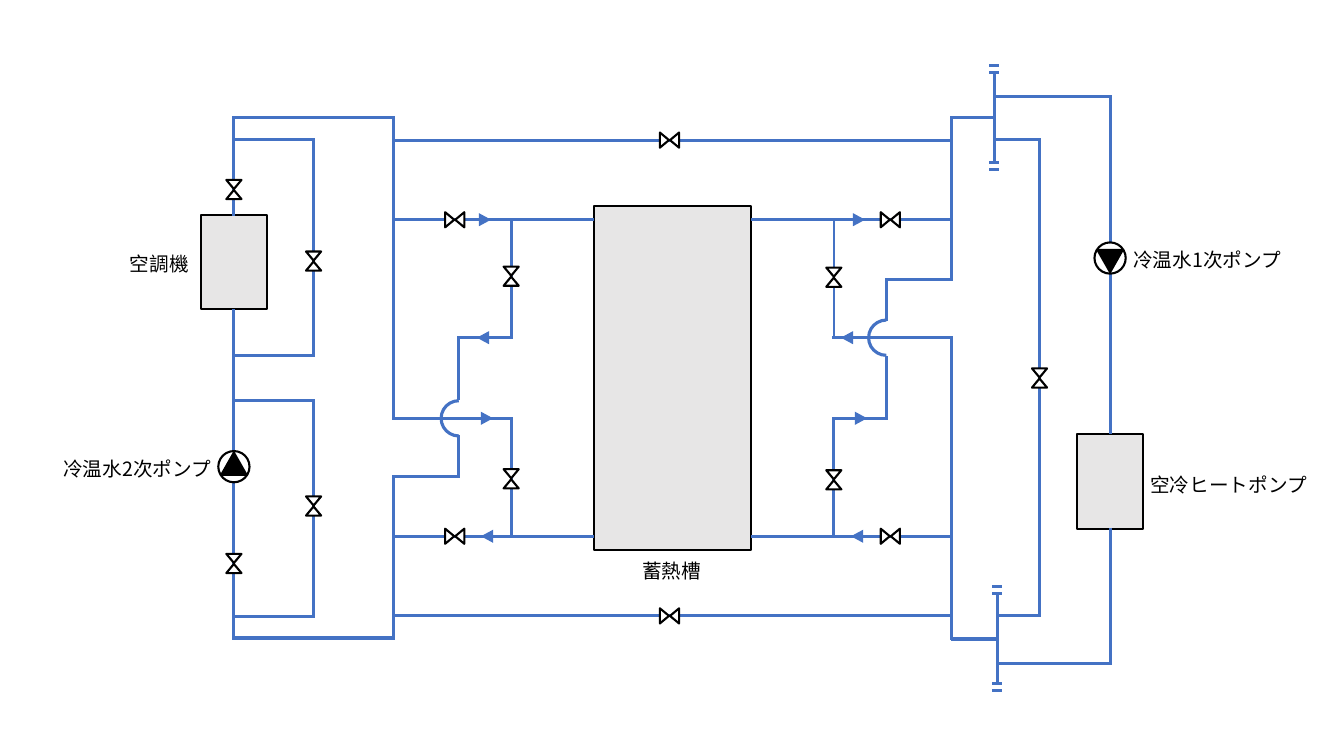
from dataclasses import dataclass
from itertools import pairwise

from lxml.etree import SubElement
from pptx import Presentation
from pptx.dml.color import RGBColor
from pptx.enum.shapes import MSO_CONNECTOR, MSO_SHAPE
from pptx.oxml.ns import qn
from pptx.util import Inches, Pt


@dataclass(frozen=True)
class Theme:
    pipe: RGBColor = RGBColor(0x44, 0x72, 0xC4)
    equipment: RGBColor = RGBColor(0xE7, 0xE6, 0xE6)
    black: RGBColor = RGBColor(0, 0, 0)
    white: RGBColor = RGBColor(0xFF, 0xFF, 0xFF)
    font: str = "Noto Sans CJK JP"
    label_size: float = 14
    pipe_width: float = 2.25
    outline_width: float = 1.5


@dataclass(frozen=True)
class Box:
    left: float
    top: float
    width: float
    height: float
    turned: bool = False

    def at(self, x, y):
        """Turn a place inside the box into a place on the slide."""
        if self.turned:
            x, y = self.width - x, self.height - y
        return self.left + x, self.top + y


THEME = Theme()
TOP, BOTTOM = 0, 2
LABEL_HEIGHT = 0.34


def add_centred(page, kind, center, width, height, fill=None, line=THEME.black,
                line_width=THEME.outline_width, rotation=0):
    x, y = center
    shape = page.shapes.add_shape(kind, Inches(x - width / 2), Inches(y - height / 2),
                                  Inches(width), Inches(height))
    shape.shadow.inherit = False
    shape.rotation = rotation
    if fill is None:
        shape.fill.background()
    else:
        shape.fill.solid()
        shape.fill.fore_color.rgb = fill
    if line is None:
        shape.line.fill.background()
    else:
        shape.line.color.rgb = line
        shape.line.width = Pt(line_width)
    return shape


def add_text(page, text, position, width, size=THEME.label_size, color=THEME.black):
    x, y = position
    label = page.shapes.add_textbox(Inches(x), Inches(y), Inches(width), Inches(LABEL_HEIGHT))
    label.text_frame.word_wrap = True
    span = label.text_frame.paragraphs[0].add_run()
    span.text = text
    span.font.size = Pt(size)
    span.font.color.rgb = color
    span.font.name = THEME.font
    SubElement(span.font._element, qn("a:ea"), typeface=THEME.font)


def add_pipe(page, *points, width=THEME.pipe_width, start=None, end=None):
    """Draw a run of straight pipes; start and end may be (shape, side) joints."""
    pipes = []
    for (x1, y1), (x2, y2) in pairwise(points):
        pipe = page.shapes.add_connector(MSO_CONNECTOR.STRAIGHT, Inches(x1), Inches(y1),
                                         Inches(x2), Inches(y2))
        pipe.line.color.rgb = THEME.pipe
        pipe.line.width = Pt(width)
        properties = pipe._element.spPr
        SubElement(properties, qn("a:effectLst"))
        if len(points) > 2:
            properties.find(qn("a:ln")).set("cap", "sq")
        pipes.append(pipe)
    if start:
        pipes[0].begin_connect(*start)
    if end:
        pipes[-1].end_connect(*end)


def add_valve(page, center, horizontal=False):
    x, y = center
    for side in (-1, 1):
        shift = side * 0.05
        place = (x + shift, y) if horizontal else (x, y + shift)
        rotation = (180 if side == 1 else 0) + 90 if horizontal else (180 if side == -1 else 0)
        add_centred(page, MSO_SHAPE.ISOSCELES_TRIANGLE, place, 0.15, 0.09,
                    fill=THEME.white, rotation=rotation)


def add_flow_arrow(page, center, rightward):
    add_centred(page, MSO_SHAPE.ISOSCELES_TRIANGLE, center, 0.13, 0.12, fill=THEME.pipe,
                line=None, rotation=90 if rightward else 270)


def add_pump(page, center, upward):
    x, y = center
    rotation = 0 if upward else 180
    add_centred(page, MSO_SHAPE.OVAL, center, 0.31, 0.31, fill=THEME.white)
    add_centred(page, MSO_SHAPE.ISOSCELES_TRIANGLE, (x, y + (-0.03 if upward else 0.03)),
                0.25, 0.22, fill=THEME.black, rotation=rotation)


def add_equipment(page, center, width=0.65, height=0.94):
    return add_centred(page, MSO_SHAPE.RECTANGLE, center, width, height, fill=THEME.equipment)


def draw_air_side(page, box):
    at = box.at
    unit = add_equipment(page, at(0, 1.43))
    pump_y = 3.46
    add_pipe(page, at(2 * box.width, 0), at(0, 0), at(0, 0.96), end=(unit, TOP))
    add_pipe(page, at(0, 1.9), at(0, pump_y - 0.15), start=(unit, BOTTOM))
    add_pipe(page, at(0, pump_y + 0.15), at(0, box.height), at(2 * box.width, box.height))
    for bypass_top, valve_y in ((0.21, 1.42), (2.8, 3.85)):
        bypass_bottom = bypass_top + 2.15
        add_pipe(page, at(0, bypass_top), at(box.width, bypass_top),
                 at(box.width, bypass_bottom), at(0, bypass_bottom))
        add_valve(page, at(box.width, valve_y))
    for valve_y in (0.71, 4.42):
        add_valve(page, at(0, valve_y))
    add_pump(page, at(0, pump_y), upward=True)
    add_text(page, "空調機", at(-1.13, 1.28), 0.8)
    add_text(page, "冷温水2次ポンプ", at(-1.79, 3.31), 1.67)


def draw_storage(page, box):
    at = box.at
    add_equipment(page, at(box.width / 2, box.height / 2), 1.56, 3.41)
    for y in (0.22, box.height - 0.22):
        add_pipe(page, at(0, y), at(box.width, y))
        add_valve(page, at(2.74, y), horizontal=True)
    add_text(page, "蓄熱槽", at(2.37, 4.33), 0.8)


def draw_tank_piping(page, box, arrow_places, riser_width=THEME.pipe_width):
    """Draw the pipes between a trunk line and the tank; a turned box turns them all."""
    at = box.at
    branch, bend = 1.17, 0.65
    upper, high, low, lower = 1.01, 2.18, 2.98, 4.15
    outlet = 3.56
    add_pipe(page, at(0, 0), at(0, low), at(branch, low))
    add_pipe(page, at(branch, low), at(branch, lower), width=riser_width)
    add_pipe(page, at(branch, upper), at(branch, high), at(bend, high), at(bend, 2.78))
    add_pipe(page, at(bend, 3.16), at(bend, outlet), at(0, outlet), at(0, box.height))
    add_centred(page, MSO_SHAPE.ARC, at(bend, low), 0.35, 0.35, line=THEME.pipe,
                line_width=THEME.pipe_width, rotation=270).adjustments[0] = 107.62
    for y in (upper, lower):
        add_pipe(page, at(0, y), at(box.width, y))
        add_valve(page, at(0.61, y), horizontal=True)
    for y in (1.57, 3.58):
        add_valve(page, at(branch, y))
    toward_tank = (True, False, True, False)
    for x, y, inward in zip(arrow_places, (upper, high, low, lower), toward_tank):
        add_flow_arrow(page, at(x, y), inward != box.turned)


def draw_header(page, top, x):
    add_pipe(page, (x, top + 0.07), (x, top + 0.97))
    for bar in (0, 0.07, 0.96, 1.03):
        add_pipe(page, (x - 0.05, top + bar), (x + 0.05, top + bar))


def draw_heat_source(page, box):
    at = box.at
    supply, back, bypass, main = 0.43, 0.46, 0.88, 1.58
    pump_y = 1.91
    unit = add_equipment(page, at(main, 4.13))
    for x, header_top in ((supply, 0), (back, 5.17)):
        header_x, top = at(x, header_top)
        draw_header(page, top, header_x)
        add_pipe(page, at(0, header_top + 0.52), at(x, header_top + 0.52))
    add_pipe(page, at(supply, 0.31), at(main, 0.31), at(main, pump_y - 0.15))
    add_pipe(page, at(main, pump_y + 0.15), at(main, 3.66), end=(unit, TOP))
    add_pipe(page, at(main, 4.6), at(main, 5.93), at(back, 5.93), start=(unit, BOTTOM))
    add_pipe(page, at(supply, 0.73), at(bypass, 0.73), at(bypass, 5.46), at(back, 5.46))
    add_valve(page, at(bypass, 3.1))
    add_pump(page, at(main, pump_y), upward=False)
    add_text(page, "空冷ヒートポンプ", at(1.88, 3.99), 1.77)
    add_text(page, "冷温水1次ポンプ", at(1.71, 1.76), 1.67)


def main():
    deck = Presentation()
    deck.slide_width, deck.slide_height = Inches(13.33), Inches(7.5)
    page = deck.slides.add_slide(deck.slide_layouts[6])
    draw_storage(page, Box(3.9, 1.17, 5.54, 5.16))
    draw_air_side(page, Box(2.32, 1.17, 0.79, 5.16))
    draw_tank_piping(page, Box(3.9, 1.17, 1.99, 5.16), (0.91, 0.89, 0.93, 0.93))
    draw_tank_piping(page, Box(7.45, 1.17, 1.99, 5.16, turned=True),
                     (0.94, 0.9, 1.04, 0.92), riser_width=1.5)
    draw_heat_source(page, Box(9.43, 0.65, 1.59, 6.21))
    deck.save("out.pptx")


if __name__ == "__main__":
    main()
